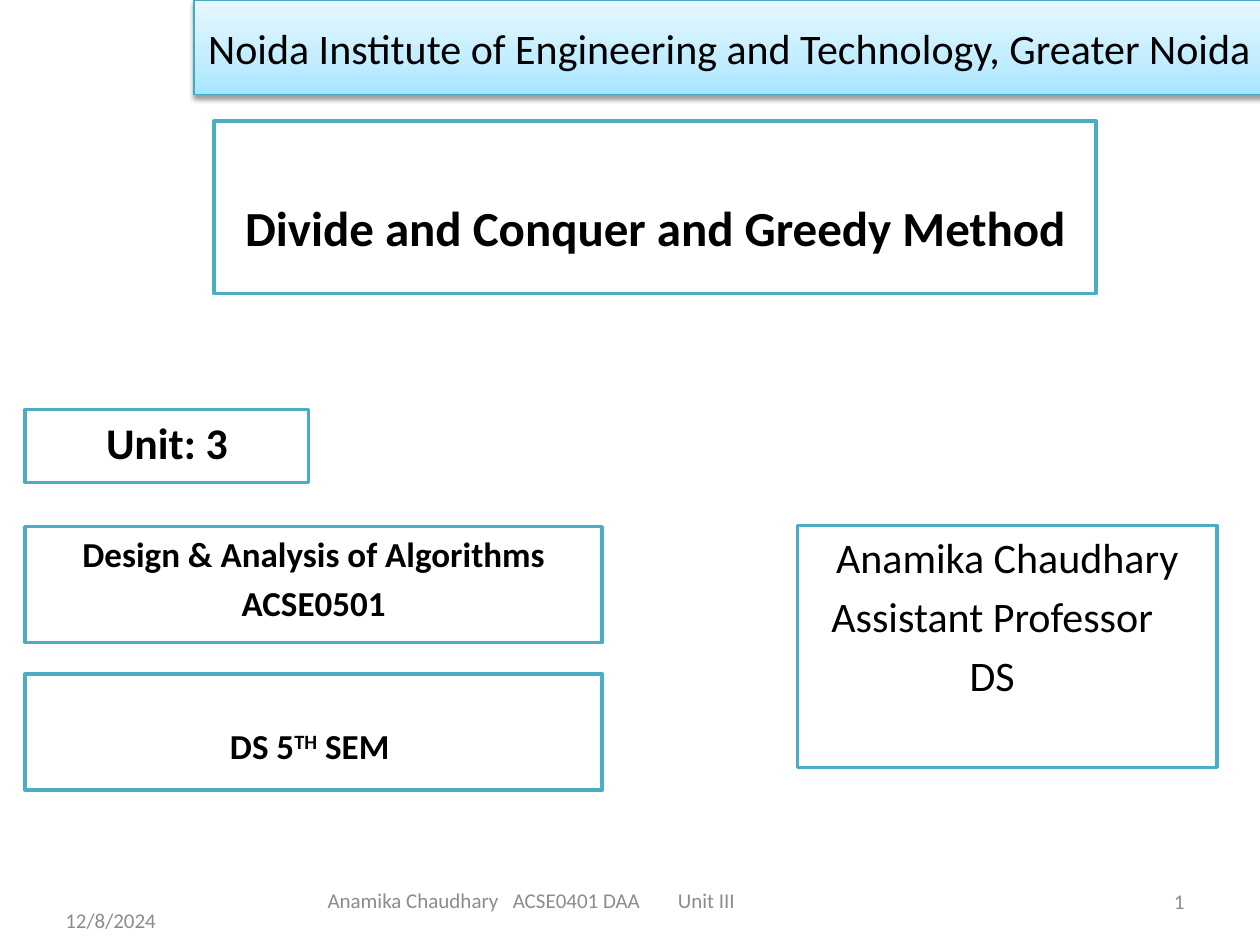
from pptx import Presentation
from pptx.dml.color import RGBColor
from pptx.enum.shapes import MSO_SHAPE
from pptx.enum.text import MSO_ANCHOR, MSO_AUTO_SIZE, PP_ALIGN
from pptx.oxml import parse_xml
from pptx.oxml.ns import nsdecls
from pptx.util import Inches, Pt
from dataclasses import dataclass


@dataclass(frozen=True)
class Theme:
    font: str = "Calibri"
    ink: str = "000000"
    gray: str = "8C8C8C"
    paper: str = "FFFFFF"
    edge: str = "4BACC6"
    rim: str = "46AAC5"
    fade: tuple = ((0, "A7E6FF"), (35, "C1EDFF"), (100, "E7F8FF"))
    head: int = 28
    unit: int = 25
    large: int = 24
    body: int = 20
    small: int = 12


theme = Theme()


def write(shape, text, size, color=theme.ink, bold=False, align=PP_ALIGN.CENTER,
          anchor=MSO_ANCHOR.TOP, top=0.05, left=0.1):
    frame = shape.text_frame
    frame.word_wrap = True
    frame.auto_size = MSO_AUTO_SIZE.NONE
    frame.vertical_anchor = anchor
    frame.margin_left, frame.margin_right = Inches(left), Inches(0.1)
    frame.margin_top, frame.margin_bottom = Inches(top), Inches(0.05)
    for row, line in enumerate(text.split("\n")):
        para = frame.add_paragraph() if row else frame.paragraphs[0]
        para.alignment = align
        para.space_before = Pt(size * 0.2 if row else 0)
        for part, words in enumerate(line.split("^")):
            run = para.add_run()
            run.text = words
            run.font.name = theme.font
            run.font.size = Pt(size)
            run.font.bold = bold
            run.font.color.rgb = RGBColor.from_string(color)
            if part % 2:
                run.font._element.set("baseline", "30000")
    return frame


deck = Presentation()
deck.slide_width, deck.slide_height = Inches(10), Inches(7.5)
slide = deck.slides.add_slide(deck.slide_layouts[5])
shapes = slide.shapes

feet = [
    (0.42, 7.1, 2.33, 0.4, "12/8/2024", PP_ALIGN.LEFT, 0.1),
    (7.17, 6.95, 2.33, 0.4, "1", PP_ALIGN.RIGHT, 0.1),
    (0.42, 6.88, 7.6, 0.53, "Anamika Chaudhary\tACSE0401 DAA\tUnit III", PP_ALIGN.LEFT, 2.18),
]
for x, y, wide, high, text, align, left in feet:
    foot = shapes.add_textbox(Inches(x), Inches(y), Inches(wide), Inches(high))
    if "\t" in text:
        stops = "".join(f'<a:tab pos="{Inches(stop)}" algn="l"/>' for stop in (1.47, 2.78))
        props = foot.text_frame.paragraphs[0]._p.get_or_add_pPr()
        props.append(parse_xml(f'<a:tabLst {nsdecls("a")}>{stops}</a:tabLst>'))
    write(foot, text, theme.small, color=theme.gray, align=align,
          anchor=MSO_ANCHOR.MIDDLE, left=left)

title = shapes.title
cards = [
    (title, 1.7, 0.96, 7, 1.37, "Divide and Conquer and Greedy Method", theme.head, True, 0.61),
    (None, 0.2, 3.25, 2.25, 0.58, "Unit: 3", theme.unit, True, 0.05),
    (None, 0.2, 4.18, 4.58, 0.92, "Design & Analysis of Algorithms\nACSE0501",
     theme.body, True, 0.05),
    (None, 0.2, 5.35, 4.58, 0.92, "DS 5^TH^ SEM ", theme.body, True, 0.4),
    (None, 6.33, 4.17, 3.33, 1.92, "Anamika Chaudhary\nAssistant Professor\nDS",
     theme.large, False, 0.05),
]
for card, x, y, wide, high, text, size, bold, top in cards:
    place = Inches(x), Inches(y), Inches(wide), Inches(high)
    if card is None:
        card = shapes.add_shape(MSO_SHAPE.RECTANGLE, *place)
        card.shadow.inherit = False
    card.left, card.top, card.width, card.height = place
    card.fill.solid()
    card.fill.fore_color.rgb = RGBColor.from_string(theme.paper)
    card.line.color.rgb = RGBColor.from_string(theme.edge)
    card.line.width = Pt(2)
    frame = write(card, text, size, bold=bold, top=top)
    if "Professor" in text:
        frame.paragraphs[1]._p.get_or_add_pPr().set("marR", str(Inches(0.24)))

bar = shapes.add_shape(MSO_SHAPE.RECTANGLE, Inches(1.54), 0, Inches(8.5), Inches(0.75))
bar.line.color.rgb = RGBColor.from_string(theme.rim)
bar.line.width = Pt(0.75)
bar.shadow.inherit = False
stops = "".join(f'<a:gs pos="{at * 1000}"><a:srgbClr val="{tint}"/></a:gs>'
                for at, tint in theme.fade)
bar._element.spPr.find(".//{*}prstGeom").addnext(parse_xml(
    f'<a:gradFill {nsdecls("a")} rotWithShape="1"><a:gsLst>{stops}</a:gsLst>'
    '<a:lin ang="16200000" scaled="0"/></a:gradFill>'))
bar._element.spPr.find(".//{*}effectLst").append(parse_xml(
    f'<a:outerShdw {nsdecls("a")} blurRad="{Pt(3.1)}" dist="{Pt(1.6)}" dir="5400000" '
    f'rotWithShape="0"><a:srgbClr val="{theme.ink}"><a:alpha val="38000"/></a:srgbClr>'
    '</a:outerShdw>'))
write(bar, "Noida Institute of Engineering and Technology, Greater Noida",
      theme.large, anchor=MSO_ANCHOR.MIDDLE)

deck.save("out.pptx")
